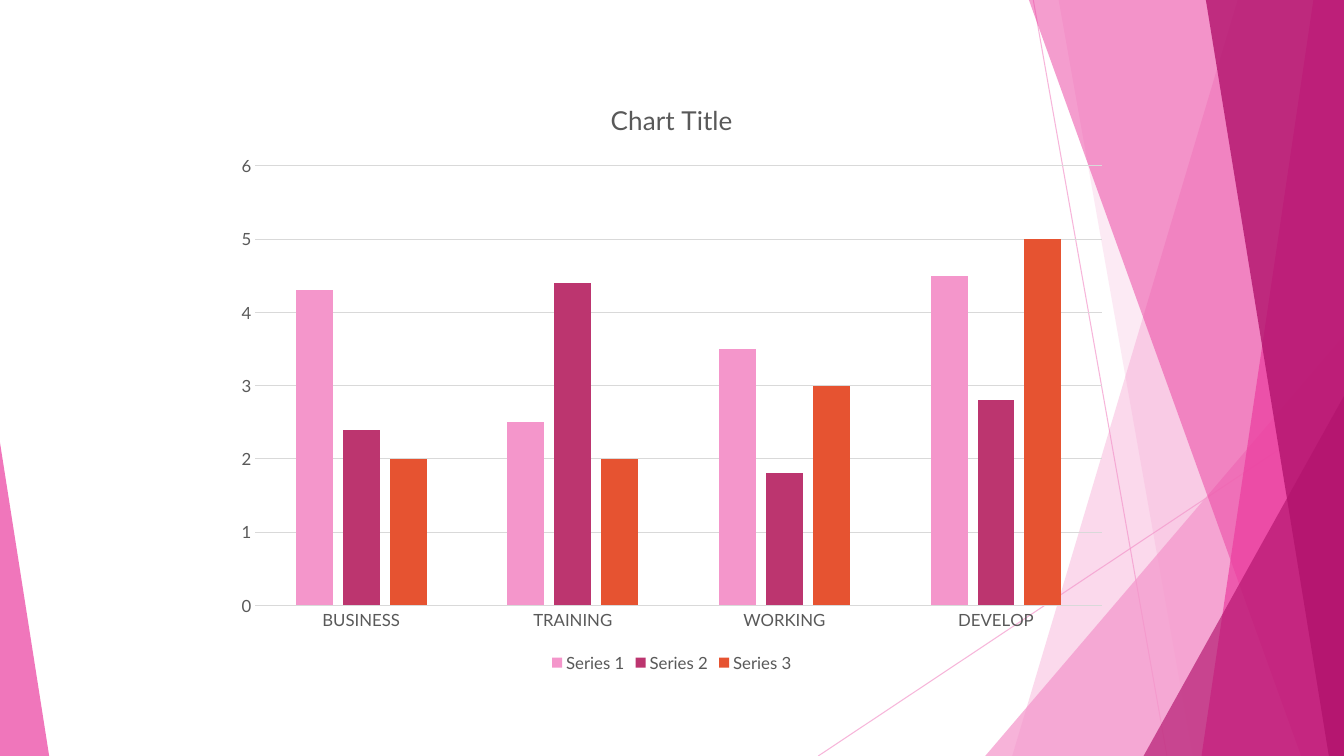
from dataclasses import dataclass

from lxml.etree import SubElement
from pptx import Presentation
from pptx.chart.data import CategoryChartData
from pptx.dml.color import RGBColor
from pptx.enum.chart import XL_CHART_TYPE, XL_LEGEND_POSITION, XL_TICK_MARK
from pptx.enum.shapes import MSO_CONNECTOR, MSO_SHAPE
from pptx.oxml.ns import qn
from pptx.util import Cm, Pt


@dataclass(frozen=True)
class Theme:
    pink: str = "F496CB"
    rose: str = "EB3D9F"
    plum: str = "B2136D"
    berry: str = "BC356F"
    coral: str = "E65331"
    ink: str = "595959"
    rule: str = "D9D9D9"
    font: str = "Lato"
    title: float = 18.6
    label: float = 12
    hair: float = 0.75


@dataclass(frozen=True)
class Box:
    """A region of the slide, in centimetres."""
    left: float
    top: float
    width: float
    height: float

    @property
    def right(self):
        return self.left + self.width

    @property
    def bottom(self):
        return self.top + self.height

    def emu(self):
        return Cm(self.left), Cm(self.top), Cm(self.width), Cm(self.height)


THEME = Theme()
PAGE = Box(0, 0, 33.87, 19.05)

# Reach from the right edge at the top and at the bottom, colour, opacity
BACK_BANDS = [(2.68, 8.36, THEME.pink, 36), (7.19, 3.81, THEME.pink, 20)]
FRONT_BANDS = [
    (7.94, 1.08, THEME.rose, 50),
    (0.77, 3.59, THEME.rose, 70),
    (3.48, 0.38, THEME.plum, 80),
]

LABELS = ["BUSINESS", "TRAINING", "WORKING", "DEVELOP"]
SERIES = [
    ("Series 1", (4.3, 2.5, 3.5, 4.5), THEME.pink),
    ("Series 2", (2.4, 4.4, 1.8, 2.8), THEME.berry),
    ("Series 3", (2, 2, 3, 5), THEME.coral),
]


def tint(fill, color, alpha=100):
    """Set a solid colour with an opacity in percent."""
    fill.solid()
    fill.fore_color.rgb = RGBColor.from_string(color)
    if alpha < 100:
        node = fill._xPr.find(qn("a:solidFill"))[0]
        SubElement(node, qn("a:alpha"), val=str(alpha * 1000))


def paint(shape, color, alpha):
    shape.shadow.inherit = False
    shape.line.fill.background()
    tint(shape.fill, color, alpha)


def add_ray(slide, start, end):
    ray = slide.shapes.add_connector(
        MSO_CONNECTOR.STRAIGHT, *map(Cm, start + end))
    ray.line.width = Pt(THEME.hair)
    tint(ray.line.fill, THEME.pink, 70)
    SubElement(ray._element.spPr, qn("a:effectLst"))


def add_band(slide, box, top, bottom, color, alpha):
    """Fill from a slanted left side to the right edge of the box."""
    points = [
        (box.right - top, box.top), (box.right, box.top),
        (box.right, box.bottom), (box.right - bottom, box.bottom),
    ]
    first, *rest = [(Cm(x), Cm(y)) for x, y in points]
    path = slide.shapes.build_freeform(*first)
    path.add_line_segments(rest, close=True)
    paint(path.convert_to_shape(), color, alpha)


def add_wedge(slide, box, apex, color, alpha):
    """Add a triangle with its apex at 0 (left) or 1 (right)."""
    wedge = slide.shapes.add_shape(MSO_SHAPE.ISOSCELES_TRIANGLE, *box.emu())
    wedge.adjustments[0] = apex
    paint(wedge, color, alpha)


def corner(box, width, height):
    return Box(box.right - width, box.bottom - height, width, height)


def add_facets(slide, box):
    right, bottom = box.right, box.bottom
    add_ray(slide, (right - 7.83, box.top), (right - 4.46, bottom))
    add_ray(slide, (right, box.top + 10.24), (box.left, bottom))
    for band in BACK_BANDS:
        add_band(slide, box, *band)
    add_wedge(slide, corner(box, 9.04, 10.59), 1, THEME.pink, 72)
    for band in FRONT_BANDS:
        add_band(slide, box, *band)
    add_wedge(slide, corner(box, 5.05, 9.07), 1, THEME.plum, 66)


def style(font, size):
    font.name = THEME.font
    font.size = Pt(size)
    font.bold = False
    font.color.rgb = RGBColor.from_string(THEME.ink)


def rule(line):
    line.width = Pt(THEME.hair)
    tint(line.fill, THEME.rule)


def style_axes(chart):
    cats, vals = chart.category_axis, chart.value_axis
    for axis in (cats, vals):
        axis.major_tick_mark = axis.minor_tick_mark = XL_TICK_MARK.NONE
        style(axis.tick_labels.font, THEME.label)
    rule(cats.format.line)
    vals.format.line.fill.background()
    vals.minimum_scale, vals.maximum_scale, vals.major_unit = 0, 6, 1
    vals.has_major_gridlines = True
    rule(vals.major_gridlines.format.line)


def add_columns(slide, box):
    data = CategoryChartData()
    data.categories = LABELS
    for name, values, _ in SERIES:
        data.add_series(name, values)
    chart = slide.shapes.add_chart(
        XL_CHART_TYPE.COLUMN_CLUSTERED, *box.emu(), data).chart
    style(chart.font, THEME.label)

    chart.has_title = True
    title = chart.chart_title
    title.include_in_layout = False
    para = title.text_frame.paragraphs[0]
    para.text = "Chart Title"
    style(para.font, THEME.title)

    chart.has_legend = True
    chart.legend.position = XL_LEGEND_POSITION.BOTTOM
    chart.legend.include_in_layout = False
    style(chart.legend.font, THEME.label)
    style_axes(chart)

    plot = chart.plots[0]
    plot.vary_by_categories = False
    plot.gap_width, plot.overlap = 219, -27
    for series, (_, _, color) in zip(plot.series, SERIES):
        series.invert_if_negative = False
        tint(series.format.fill, color)


def main():
    deck = Presentation()
    deck.slide_width, deck.slide_height = Cm(PAGE.width), Cm(PAGE.height)
    slide = deck.slides.add_slide(deck.slide_layouts[6])
    add_facets(slide, corner(PAGE, 13.25, PAGE.height))
    add_wedge(slide, Box(0, 11.15, 1.24, 7.9), 0, THEME.rose, 70)
    add_columns(slide, Box(5.64, 2, 22.58, 15.05))
    deck.save("out.pptx")


if __name__ == "__main__":
    main()
